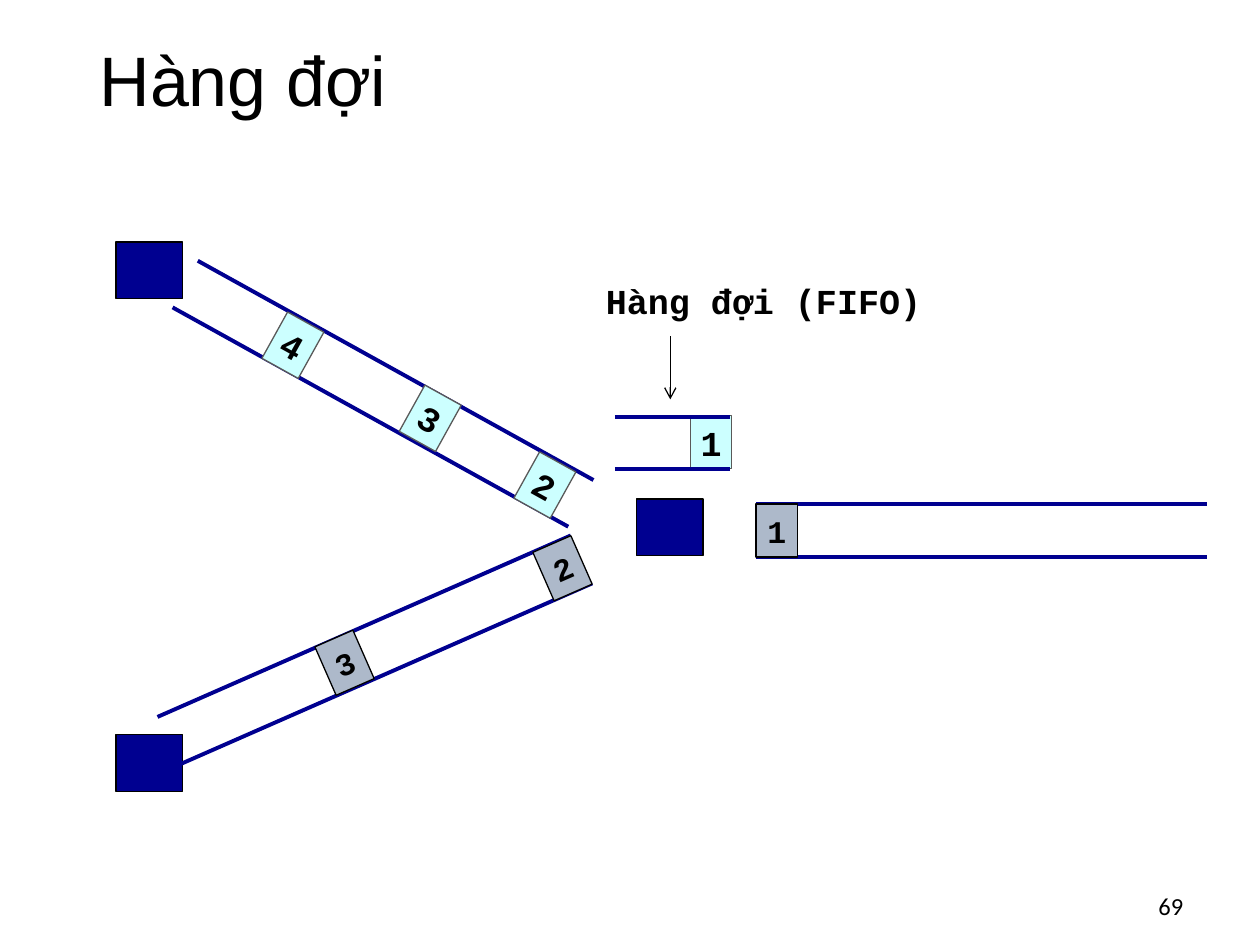
from lxml import etree
from pptx import Presentation
from pptx.dml.color import RGBColor
from pptx.enum.shapes import MSO_CONNECTOR, MSO_SHAPE
from pptx.enum.text import MSO_ANCHOR, PP_ALIGN
from pptx.oxml.ns import qn
from pptx.util import Inches, Pt

RECT, LINE = MSO_SHAPE.RECTANGLE, MSO_CONNECTOR.STRAIGHT
MID, TOP = MSO_ANCHOR.MIDDLE, MSO_ANCHOR.TOP
LEFT, RIGHT, CENTER = PP_ALIGN.LEFT, PP_ALIGN.RIGHT, PP_ALIGN.CENTER

# Content
COLORS = {"navy": "000090", "cyan": "CCFFFF", "gray": "ADB9CA",
          "edge": "595959", "black": "000000"}
TITLE = "Hàng đợi"
LABEL = "Hàng đợi (FIFO)"
PAGE = "69"
NODE = (0.53, 0.45)
NODES = [(5.05, 3.96), (0.92, 1.92), (0.92, 5.83)]
PACKET = (0.33, 0.42)
# Each lane: start and end of its first wall, then the offset of the second
LANES = [
    ((1.57, 2.07), (4.71, 3.81), (-0.2, 0.37)),
    ((1.25, 5.69), (4.53, 4.25), (0.17, 0.38)),
    ((6, 4), (9.58, 4), (0, 0.42)),
]
QUEUE = ((4.88, 3.31), (5.79, 3.31), (0, 0.41))
# Each flow: fill, edge, edge width, text size, turn, packets
FLOWS = [
    ("cyan", "edge", 0.75, 20, 29,
     [("2", 4.16, 3.64), ("3", 3.25, 3.11), ("4", 2.16, 2.53)]),
    ("gray", "black", 0.75, 18, 336.3, [("3", 2.57, 5.05), ("2", 4.3, 4.3)]),
    ("cyan", "edge", 0.5, 20, 0, [("1", 5.48, 3.3)]),
    ("gray", "black", 0.75, 18, 0, [("1", 6, 4)]),
]
MONO = {"name": "Courier New", "bold": True}


def color(name):
    return RGBColor.from_string(COLORS[name])


def write(shape, text, font, align=LEFT, anchor=MID, wrap=True):
    frame = shape.text_frame
    frame.word_wrap, frame.vertical_anchor = wrap, anchor
    para = frame.paragraphs[0]
    para.text, para.alignment = text, align
    for key, val in font.items():
        setattr(para.font, key, val)
    para.font.color.rgb = color("black")
    return para


def add_box(slide, x, y, size, fill, edge="black", width=0.75):
    box = slide.shapes.add_shape(RECT, *map(Inches, (x, y, *size)))
    box.shadow.inherit = False
    box.fill.solid()
    box.fill.fore_color.rgb = color(fill)
    box.line.color.rgb = color(edge)
    box.line.width = Pt(width)
    return box


def add_line(slide, start, end, name="navy", width=2.25):
    line = slide.shapes.add_connector(LINE, *map(Inches, (*start, *end)))
    line.line.color.rgb = color(name)
    line.line.width = Pt(width)
    etree.SubElement(line._element.spPr, qn("a:effectLst"))
    return line


def add_lane(slide, start, end, gap):
    for step in (0, 1):
        add_line(slide, *[(x + step * gap[0], y + step * gap[1])
                          for x, y in (start, end)])


def main():
    deck = Presentation()
    deck.slide_width, deck.slide_height = Inches(10), Inches(7.5)
    slide = deck.slides.add_slide(deck.slide_layouts[5])

    # Title and page number
    title = slide.shapes.title
    title.left, title.top, title.width, title.height = map(
        Inches, (0.69, 0.26, 8.62, 0.81))
    para = write(title, TITLE, {"name": "Arial", "size": Pt(40)})
    para.line_spacing = 0.9
    page = slide.shapes.add_textbox(*map(Inches, (8.86, 6.99, 0.63, 0.4)))
    write(page, PAGE, {"name": "Calibri", "size": Pt(14)}, RIGHT)

    # Nodes and links
    for x, y in NODES:
        add_box(slide, x, y, NODE, "navy")
    for lane in LANES:
        add_lane(slide, *lane)

    # Packets
    for fill, edge, width, size, turn, packets in FLOWS:
        for text, x, y in packets:
            box = add_box(slide, x, y, PACKET, fill, edge, width)
            box.rotation = turn
            write(box, text, {**MONO, "size": Pt(size)}, CENTER, wrap=False)

    # Queue with its label and arrow
    add_lane(slide, *QUEUE)
    label = slide.shapes.add_textbox(*map(Inches, (4.71, 2.17, 2.73, 0.44)))
    write(label, LABEL, {**MONO, "size": Pt(20)}, anchor=TOP, wrap=False)
    arrow = add_line(slide, (5.32, 2.67), (5.32, 3.17), "black", 0.75)
    etree.SubElement(arrow.line._get_or_add_ln(), qn("a:tailEnd"), type="arrow")

    deck.save("out.pptx")


if __name__ == "__main__":
    main()
